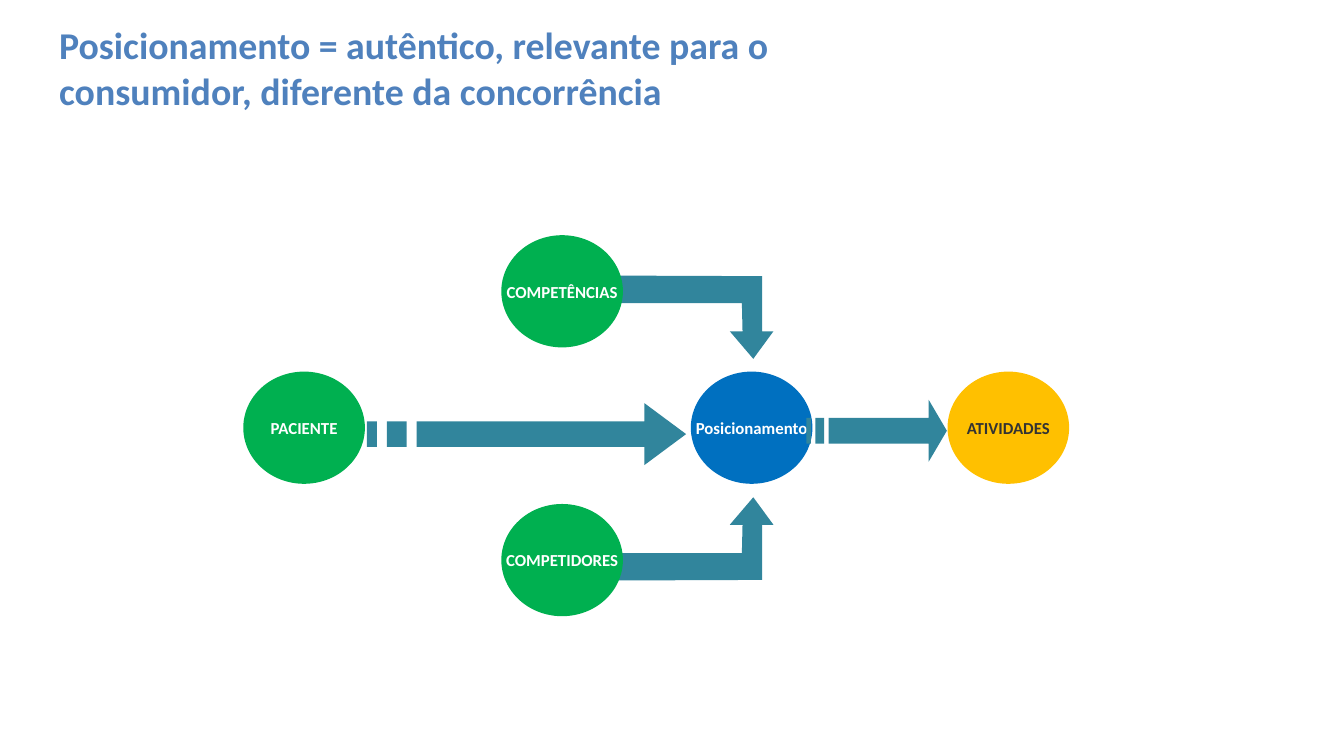
"""Build the positioning diagram slide on a grid of 200 columns by 112.5 rows."""
from dataclasses import dataclass

from pptx import Presentation
from pptx.dml.color import RGBColor
from pptx.enum.shapes import MSO_SHAPE as Preset
from pptx.enum.text import MSO_ANCHOR as Anchor, PP_ALIGN as Align
from pptx.util import Inches, Pt


@dataclass(frozen=True)
class Theme:
    font: str = "Calibri"
    title_size: float = 40.5
    label_size: float = 18
    title: str = "4F81BD"
    arrow: str = "31859C"
    source: str = "00B050"
    core: str = "0070C0"
    result: str = "FFC000"
    light: str = "FFFFFF"
    dark: str = "333333"


THEME = Theme()
COLUMNS, ROWS = 200, 112.5
CELL = Inches(0.1)
TITLE = "Posicionamento = autêntico, relevante para o consumidor, diferente da concorrência"
TITLE_BOX = (7.8, 3.5, 136.5, 13.1)

MIDDLE_ROW = 63.65
NODES = [
    ("PACIENTE", 45.25, MIDDLE_ROW, THEME.source, THEME.light),
    ("COMPETIDORES", 83.65, 83.35, THEME.source, THEME.light),
    ("ATIVIDADES", 150.05, MIDDLE_ROW, THEME.result, THEME.dark),
    ("Posicionamento", 111.85, MIDDLE_ROW, THEME.core, THEME.light),
    ("COMPETÊNCIAS", 83.65, 43.35, THEME.source, THEME.light),
]
OUTER_SIZE, INNER_SIZE = (18.1, 16.7), (15.8, 13.7)

ELBOW = [(87.7, 41), (113.4, 41.1), (113.4, 49.3), (115.1, 49.3), (112.1, 53.4),
         (108.6, 49.3), (110.5, 49.3), (110.4, 45.1), (87.7, 45.1)]
MIRROR_ROW = 63.7

STRIPED_ARROWS = [
    dict(left=54.6, tip=102.1, center=64.6, stripe=1.48, head=6.2),
    dict(left=120, tip=140.9, center=64.1, stripe=0.66, head=2.7),
]
HALF_SHAFT, HALF_HEAD = 1.9, 4.6


def fill_plain(shape, color):
    shape.shadow.inherit = False
    shape.fill.solid()
    shape.fill.fore_color.rgb = RGBColor.from_string(color)
    shape.line.fill.background()


def write(shape, text, size, color, align, wrap):
    frame = shape.text_frame
    frame.text = text
    frame.word_wrap = wrap
    frame.vertical_anchor = Anchor.MIDDLE
    paragraph = frame.paragraphs[0]
    paragraph.alignment = align
    font = paragraph.runs[0].font
    font.name, font.size, font.bold = THEME.font, Pt(size), True
    font.color.rgb = RGBColor.from_string(color)


def add_outline(slide, contours):
    first, *others = [[(x * CELL, y * CELL) for x, y in contour] for contour in contours]
    builder = slide.shapes.build_freeform(*first[0])
    builder.add_line_segments(first[1:], close=True)
    for contour in others:
        builder.move_to(*contour[0])
        builder.add_line_segments(contour[1:], close=True)
    fill_plain(builder.convert_to_shape(), THEME.arrow)


def striped_arrow(left, tip, center, stripe, head):
    top, bottom = center - HALF_SHAFT, center + HALF_SHAFT
    neck, body = tip - head, left + 5 * stripe
    arrow = [(neck, center - HALF_HEAD), (neck, top), (body, top), (body, bottom),
             (neck, bottom), (neck, center + HALF_HEAD), (tip, center)]
    bars = [(left + start * stripe, left + end * stripe) for start, end in ((2, 4), (0, 1))]
    return [arrow] + [[(a, top), (a, bottom), (b, bottom), (b, top)] for a, b in bars]


def add_ellipse(slide, x, y, size, color):
    width, height = size
    box = (x - width / 2, y - height / 2, width, height)
    ellipse = slide.shapes.add_shape(Preset.OVAL, *(round(v * CELL) for v in box))
    fill_plain(ellipse, color)
    return ellipse


def main():
    presentation = Presentation()
    presentation.slide_width = round(COLUMNS * CELL)
    presentation.slide_height = round(ROWS * CELL)
    slide = presentation.slides.add_slide(presentation.slide_layouts[6])

    title = slide.shapes.add_textbox(*(round(v * CELL) for v in TITLE_BOX))
    write(title, TITLE, THEME.title_size, THEME.title, Align.LEFT, True)

    add_outline(slide, [ELBOW])
    add_outline(slide, [[(x, 2 * MIRROR_ROW - y) for x, y in ELBOW]])
    for label, x, y, color, text_color in NODES:
        add_ellipse(slide, x, y, OUTER_SIZE, color)
        inner = add_ellipse(slide, x, y, INNER_SIZE, color)
        write(inner, label, THEME.label_size, text_color, Align.CENTER, False)
    for arrow in STRIPED_ARROWS:
        add_outline(slide, striped_arrow(**arrow))

    presentation.save("out.pptx")


if __name__ == "__main__":
    main()
